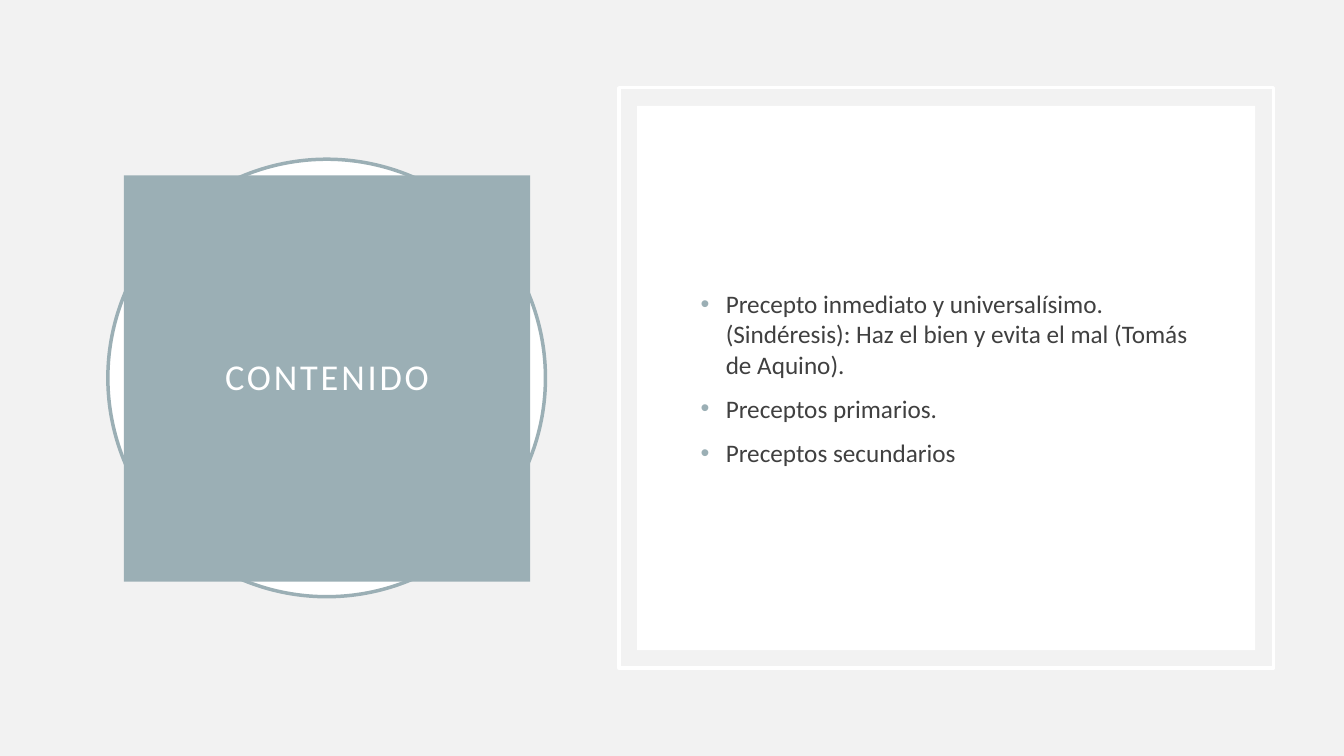
from lxml import etree
from pptx import Presentation
from pptx.dml.color import RGBColor
from pptx.enum import shapes, text
from pptx.oxml import ns
from pptx.util import Inches, Pt

BACKGROUND, SAGE, WHITE, INK = "F2F2F2", "9BAFB5", "FFFFFF", "404040"
PRECEPTS = [
    "Precepto inmediato y universalísimo. (Sindéresis): Haz el bien y evita el mal (Tomás de Aquino).",
    "Preceptos primarios.",
    "Preceptos secundarios",
]


def color(hex_code):
    return RGBColor.from_string(hex_code)


def add_panel(kind, left, top, width, height, fill=None, line=None):
    """Add a shape without shadow; a missing fill or line stays empty."""
    panel = slide.shapes.add_shape(
        kind, Inches(left), Inches(top), Inches(width), Inches(height))
    panel.shadow.inherit = False
    if fill:
        panel.fill.solid()
        panel.fill.fore_color.rgb = color(fill)
    else:
        panel.fill.background()
    if line:
        panel.line.color.rgb = color(line)
        panel.line.width = Pt(2.5)
    else:
        panel.line.fill.background()
    return panel


prs = Presentation()
prs.slide_width, prs.slide_height = Inches(13.33), Inches(7.5)
slide = prs.slides.add_slide(prs.slide_layouts[6])
slide.background.fill.solid()
slide.background.fill.fore_color.rgb = color(BACKGROUND)

# Title block over its ring
add_panel(shapes.MSO_SHAPE.OVAL, 1.07, 1.58, 4.34, 4.34, WHITE, SAGE)
title = add_panel(shapes.MSO_SHAPE.RECTANGLE, 1.23, 1.74, 4.03, 4.03, SAGE)
title_frame = title.text_frame
title_frame.word_wrap = True
title_frame.vertical_anchor = text.MSO_ANCHOR.MIDDLE
title_frame.margin_left = title_frame.margin_right = Inches(0.2)
title_frame.margin_top = title_frame.margin_bottom = Inches(0.2)
heading = title_frame.paragraphs[0]
heading.alignment = text.PP_ALIGN.CENTER
heading.line_spacing = 0.9
heading.font.name = "Calibri"
heading.font.size = Pt(26)
heading.font.color.rgb = color(WHITE)
heading_run = heading.add_run()
heading_run.text = "CONTENIDO"
heading_run.font._element.set("spc", "200")

# Framed card with the list of precepts
add_panel(shapes.MSO_SHAPE.RECTANGLE, 6.14, 0.87, 6.49, 5.76, line=WHITE)
add_panel(shapes.MSO_SHAPE.RECTANGLE, 6.32, 1.05, 6.13, 5.4, WHITE)
content = slide.shapes.add_textbox(Inches(6.85), Inches(1.58), Inches(5.09), Inches(4.34))
content_frame = content.text_frame
content_frame.word_wrap = True
content_frame.vertical_anchor = text.MSO_ANCHOR.MIDDLE
for index, precept in enumerate(PRECEPTS):
    item = content_frame.add_paragraph() if index else content_frame.paragraphs[0]
    item.text = precept
    item.space_before = Pt(10)
    item.font.name = "Calibri"
    item.font.size = Pt(18)
    item.font.color.rgb = color(INK)
    properties = item._p.get_or_add_pPr()
    properties.set("marL", str(Inches(0.25)))
    properties.set("indent", str(Inches(-0.25)))
    bullet_color = etree.Element(ns.qn("a:buClr"))
    etree.SubElement(bullet_color, ns.qn("a:srgbClr"), val=SAGE)
    bullet_font = etree.Element(ns.qn("a:buFont"), typeface="Arial")
    bullet = etree.Element(ns.qn("a:buChar"), char="•")
    run_defaults = properties.find(ns.qn("a:defRPr"))
    for part in (bullet_color, bullet_font, bullet):
        run_defaults.addprevious(part)

prs.save("out.pptx")
